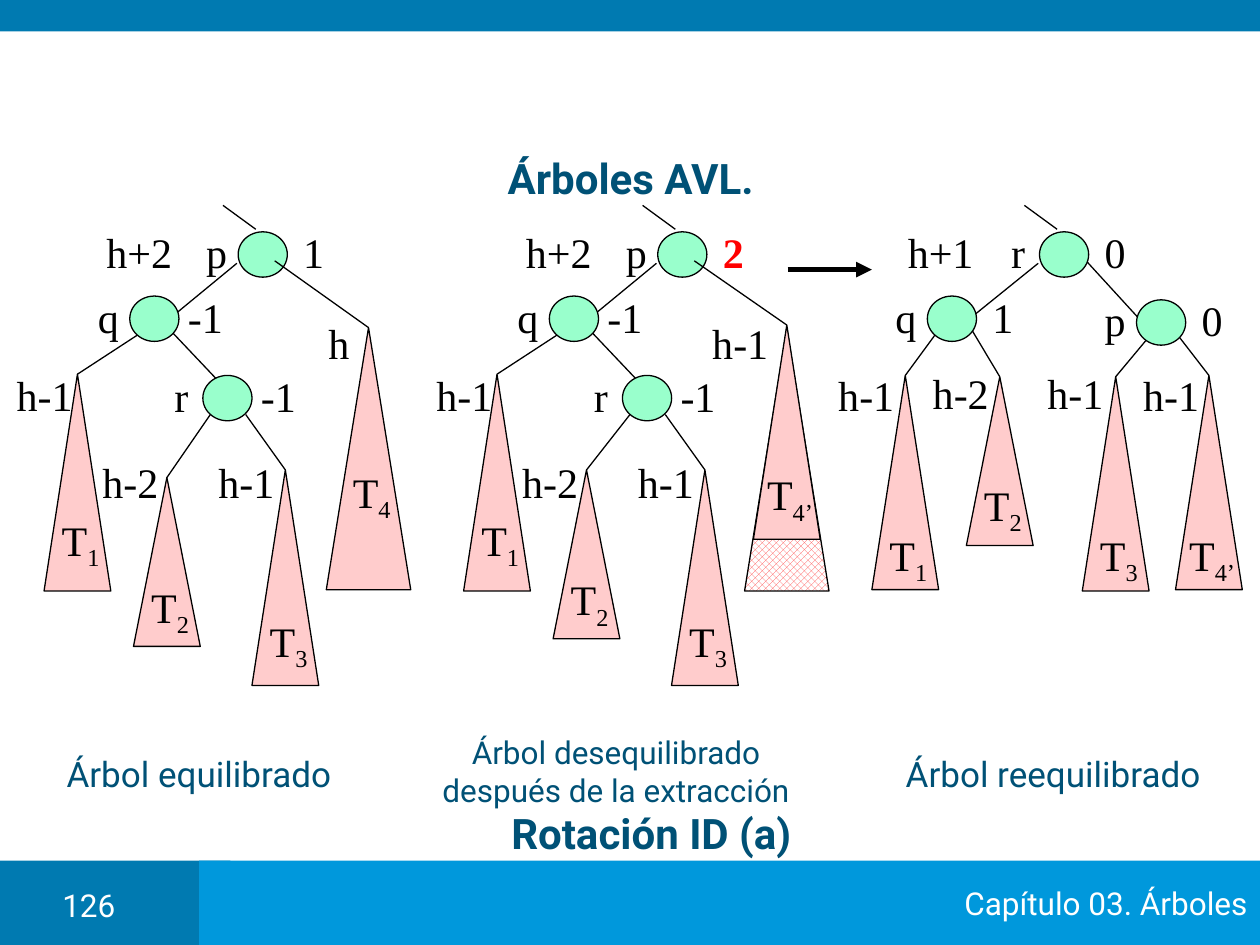
from pptx import Presentation
from pptx.dml.color import RGBColor
from pptx.enum.dml import MSO_PATTERN
from pptx.enum.shapes import MSO_CONNECTOR, MSO_SHAPE as SHAPE
from pptx.enum.text import MSO_ANCHOR as ANCHOR, PP_ALIGN as ALIGN
from pptx.oxml.ns import qn
from pptx.util import Pt
from lxml import etree

EMU_PER_PX = 9144  # 100 px to the inch

BLACK = RGBColor(0x00, 0x00, 0x00)
WHITE = RGBColor(0xFF, 0xFF, 0xFF)
RED = RGBColor(0xFF, 0x00, 0x00)
NAVY = RGBColor(0x00, 0x51, 0x76)
DARK_BLUE = RGBColor(0x00, 0x7A, 0xB1)
LIGHT_BLUE = RGBColor(0x00, 0x98, 0xDC)
MINT = RGBColor(0x99, 0xFF, 0xCC)
PINK = RGBColor(0xFF, 0xCC, 0xCC)
HATCH_RED = RGBColor(0xFF, 0x50, 0x50)

HEADING = {"name": "Roboto", "size": Pt(24), "bold": True}
CAPTION = {"name": "Roboto", "size": Pt(20)}
SMALL = {"name": "Roboto", "size": Pt(18)}
MATH = {"name": "Times New Roman", "size": Pt(24)}
MATH_BOLD = {**MATH, "bold": True}

NODE_W, NODE_H = 39, 36
LABEL_H = 50
TREE_SHIFT = 333  # from the balanced tree to the unbalanced one


def px(*lengths):
    return [length * EMU_PER_PX for length in lengths]


def write(shape, text, style, color, subscript="", align=ALIGN.CENTER,
          anchor=ANCHOR.MIDDLE, wrap=False):
    frame = shape.text_frame
    frame.word_wrap = wrap
    frame.vertical_anchor = anchor
    paragraph = frame.paragraphs[0]
    paragraph.alignment = align
    for part in filter(None, (text, subscript)):
        run = paragraph.add_run()
        run.text = part
        for attribute, value in style.items():
            setattr(run.font, attribute, value)
        run.font.color.rgb = color
    if subscript:
        run._r.get_or_add_rPr().set("baseline", "-25000")


def text_box(shapes, box, text, style, color, **options):
    write(shapes.add_textbox(*px(*box)), text, style, color, **options)


def label(shapes, center_x, center_y, text, style=MATH, color=BLACK, subscript=""):
    width = 75 if len(text) > 2 else 60
    box = (center_x - width // 2, center_y - LABEL_H // 2, width, LABEL_H)
    text_box(shapes, box, text, style, color, subscript=subscript)


def solid(shapes, kind, box, color, outlined=True):
    shape = shapes.add_shape(kind, *px(*box))
    shape.shadow.inherit = False
    shape.fill.solid()
    shape.fill.fore_color.rgb = color
    if outlined:
        shape.line.color.rgb = BLACK
        shape.line.width = Pt(0.75)
    else:
        shape.line.fill.background()
    return shape


def edge(shapes, start, end, width=0.75):
    line = shapes.add_connector(MSO_CONNECTOR.STRAIGHT, *px(*start, *end))
    line.line.color.rgb = BLACK
    line.line.width = Pt(width)
    etree.SubElement(line._element.spPr, qn("a:effectLst"))
    return line


def arrow(shapes, start, end):
    line = edge(shapes, start, end, width=3)
    etree.SubElement(line.line._get_or_add_ln(), qn("a:tailEnd"), type="triangle")


def node(shapes, x, y, key, balance, **balance_format):
    """Circle with its key on the left and its balance factor on the right."""
    solid(shapes, SHAPE.OVAL, (x, y, NODE_W, NODE_H), MINT)
    label(shapes, x - 17, y + 16, key)
    label(shapes, x + 60, y + 16, balance, **balance_format)


def root(shapes, x, key, balance, height, **balance_format):
    """Top node with its height and the edge that comes from its parent."""
    edge(shapes, (x + 14, 182), (x - 12, 163))
    node(shapes, x, 184, key, balance, **balance_format)
    label(shapes, x - 79, 200, height)


def subtree(shapes, start, box, number, number_y, height, height_at):
    """Triangle T with a subscript, hung from start, and its height label."""
    left, top, width, _ = box
    triangle = solid(shapes, SHAPE.ISOSCELES_TRIANGLE, box, PINK)
    edge(shapes, start, (left + width // 2, top)).end_connect(triangle, 0)
    label(shapes, left + width // 2 + 3, number_y, "T", subscript=number)
    label(shapes, *height_at, height)


def unrotated_tree(shapes, x, t2_top, balance, height="h+2", **balance_format):
    """Nodes p, q, r with T1, T2 and T3, which hold before and after extraction."""
    edge(shapes, (x + 188, 209), (x + 137, 251))
    edge(shapes, (x + 136, 263), (x + 172, 301))
    subtree(shapes, (x + 109, 266), (x + 35, 297, 53, 172), "1", 431,
            "h-1", (x + 35, 313))
    subtree(shapes, (x + 167, 329), (x + 106, t2_top, 53, 134), "2", t2_top + 105,
            "h-2", (x + 103, 382))
    subtree(shapes, (x + 195, 329), (x + 200, 373, 53, 171), "3", 511,
            "h-1", (x + 195, 382))
    node(shapes, x + 103, 235, "q", "-1")
    node(shapes, x + 161, 298, "r", "-1")
    root(shapes, x + 189, "p", balance, height, **balance_format)


def balanced_tree(shapes):
    unrotated_tree(shapes, 0, 379, "1")
    subtree(shapes, (218, 207), (259, 260, 67, 208), "4", 393, "h", (269, 272))
    text_box(shapes, (43, 592, 231, 44), "Árbol equilibrado", CAPTION, NAVY,
             align=ALIGN.LEFT, anchor=ANCHOR.TOP)


def unbalanced_tree(shapes):
    unrotated_tree(shapes, TREE_SHIFT, 373, "2", style=MATH_BOLD, color=RED)
    removed = solid(shapes, SHAPE.ISOSCELES_TRIANGLE, (591, 261, 67, 208), WHITE)
    removed.fill.patterned()
    removed.fill.pattern = MSO_PATTERN.OUTLINED_DIAMOND
    removed.fill.fore_color.rgb = HATCH_RED
    removed.fill.back_color.rgb = WHITE
    subtree(shapes, (551, 207), (598, 258, 53, 170), "4’", 395, "h-1", (587, 272))
    text_box(shapes, (336, 577, 306, 70),
             "Árbol desequilibrado después de la extracción", SMALL, NAVY,
             anchor=ANCHOR.TOP, wrap=True)


def rebalanced_tree(shapes):
    edge(shapes, (862, 207), (905, 254))
    edge(shapes, (824, 209), (772, 251))
    subtree(shapes, (742, 266), (692, 298, 53, 170), "1", 443, "h-1", (687, 313))
    subtree(shapes, (769, 258), (767, 299, 53, 134), "2", 403, "h-2", (762, 312))
    subtree(shapes, (913, 266), (859, 299, 53, 170), "3", 443, "h-1", (853, 312))
    subtree(shapes, (934, 265), (933, 298, 53, 170), "4’", 443, "h-1", (929, 313))
    node(shapes, 736, 235, "q", "1")
    node(shapes, 902, 238, "p", "0")
    root(shapes, 825, "r", "0", "h+1")
    arrow(shapes, (625, 214), (692, 214))
    text_box(shapes, (709, 592, 256, 44), "Árbol reequilibrado", CAPTION, NAVY,
             align=ALIGN.LEFT, anchor=ANCHOR.TOP)


def bars(shapes):
    solid(shapes, SHAPE.RECTANGLE, (0, 683, 183, 67), DARK_BLUE, outlined=False)
    chapter = solid(shapes, SHAPE.RECTANGLE, (158, 683, 842, 67), LIGHT_BLUE,
                    outlined=False)
    write(chapter, "Capítulo 03. Árboles", SMALL, WHITE, align=ALIGN.RIGHT)
    solid(shapes, SHAPE.RECTANGLE, (0, 0, 1000, 25), DARK_BLUE, outlined=False)
    text_box(shapes, (35, 698, 71, 32), "126", SMALL, WHITE, anchor=ANCHOR.TOP)


def main():
    deck = Presentation()
    deck.slide_width, deck.slide_height = px(1000, 750)
    shapes = deck.slides.add_slide(deck.slide_layouts[6]).shapes
    bars(shapes)
    text_box(shapes, (83, 120, 835, 42), "Árboles AVL.", HEADING, NAVY, wrap=True)
    for draw_tree in (balanced_tree, unbalanced_tree, rebalanced_tree):
        draw_tree(shapes.add_group_shape().shapes)
    text_box(shapes, (67, 636, 900, 51), "Rotación ID (a)", HEADING, NAVY,
             anchor=ANCHOR.TOP, wrap=True)
    deck.save("out.pptx")


if __name__ == "__main__":
    main()
